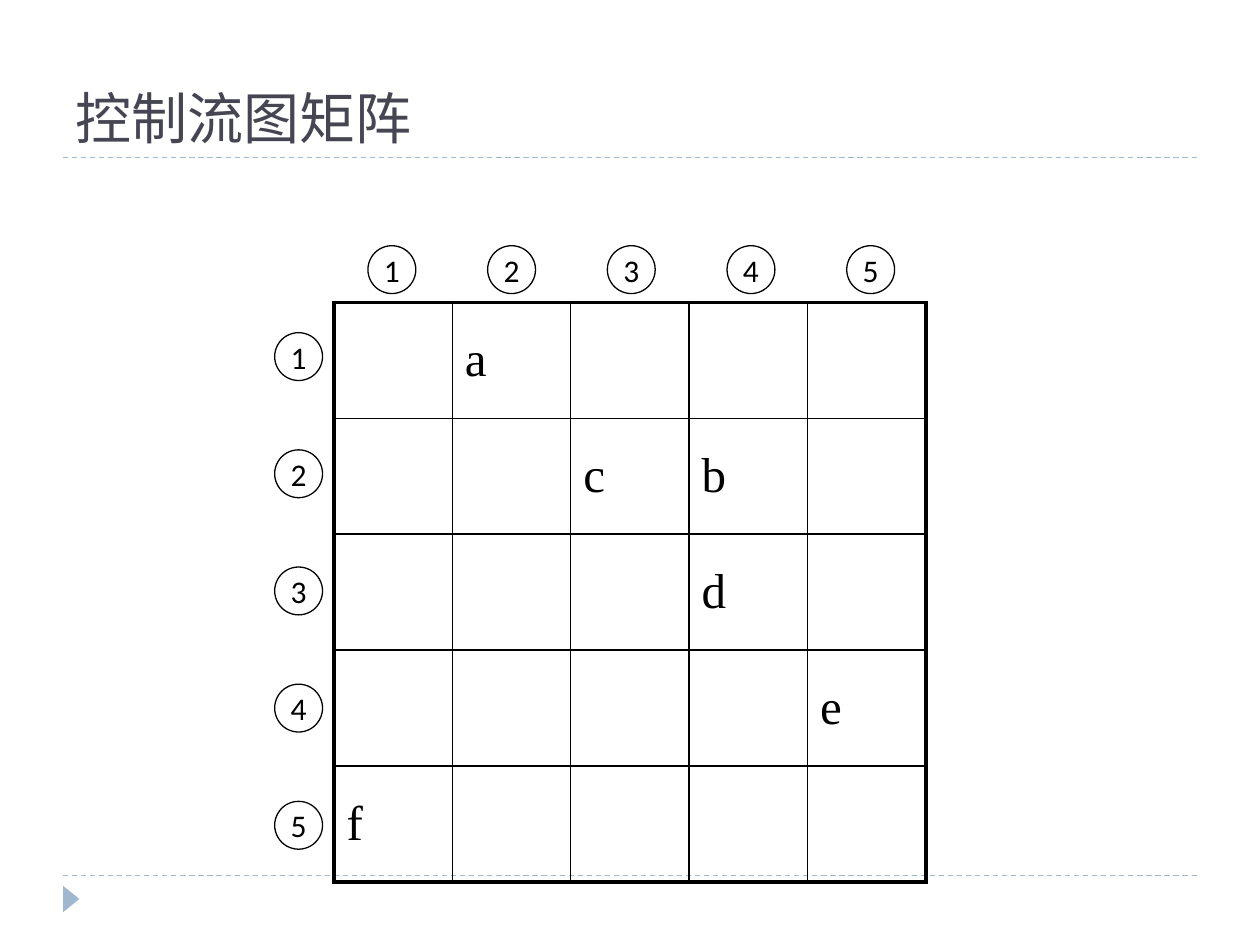
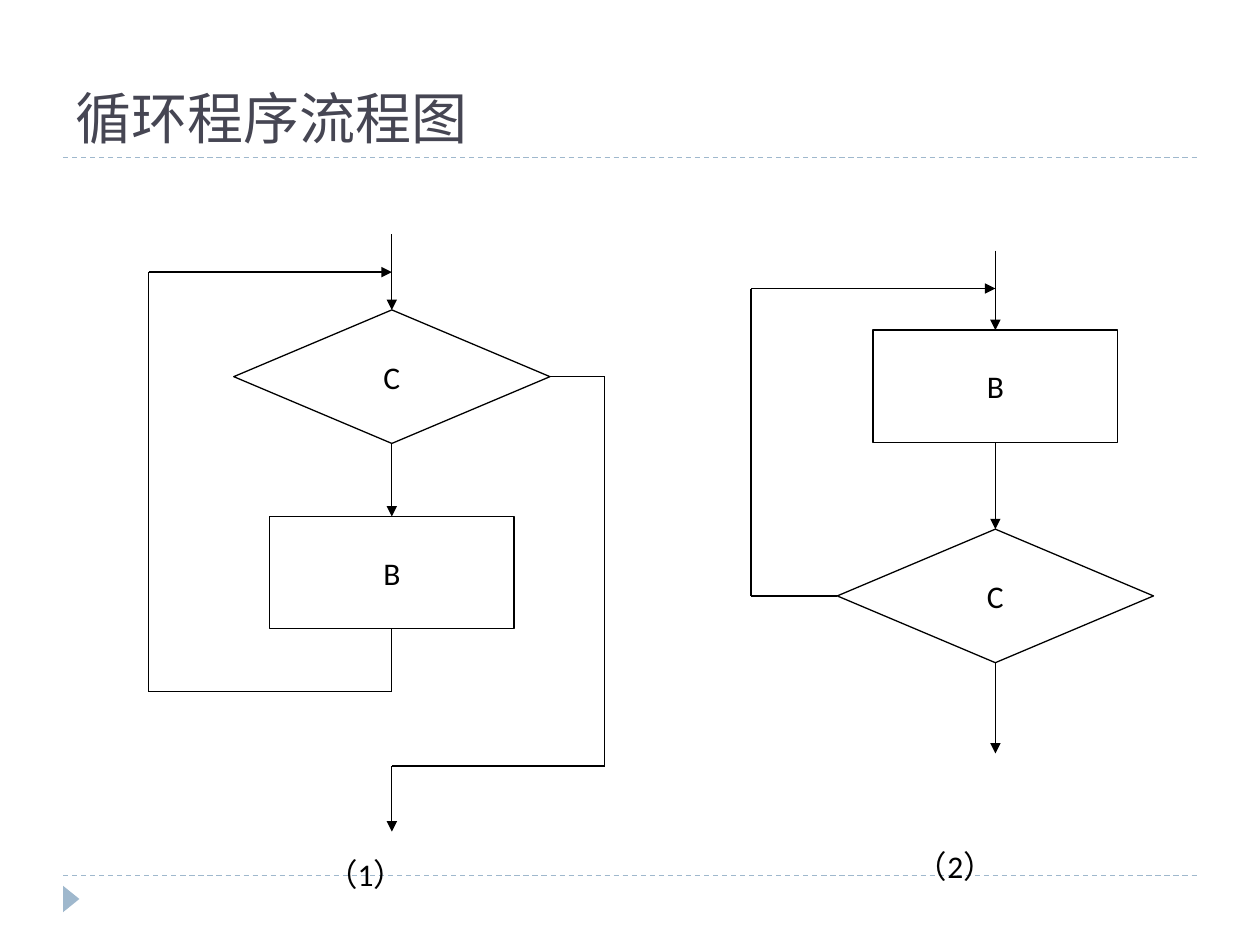
from dataclasses import dataclass
from typing import Any, Optional

from lxml import etree
from pptx import Presentation
from pptx.dml.color import RGBColor
from pptx.enum.dml import MSO_LINE
from pptx.enum.shapes import MSO_CONNECTOR, MSO_SHAPE
from pptx.enum.text import MSO_ANCHOR, MSO_AUTO_SIZE, PP_ALIGN
from pptx.oxml.ns import qn
from pptx.util import Inches, Pt

BLACK = RGBColor(0x00, 0x00, 0x00)
TITLE_INK = RGBColor(0x46, 0x46, 0x53)
ACCENT = RGBColor(0x9F, 0xB8, 0xCD)

STRAIGHT = MSO_CONNECTOR.STRAIGHT
DASH = MSO_LINE.DASH
TRIANGLE = MSO_SHAPE.ISOSCELES_TRIANGLE
ELLIPSE = MSO_SHAPE.OVAL
DIAMOND = MSO_SHAPE.DIAMOND
RECTANGLE = MSO_SHAPE.RECTANGLE
MIDDLE, BOTTOM = MSO_ANCHOR.MIDDLE, MSO_ANCHOR.BOTTOM
LEFT, CENTER, JUSTIFY = PP_ALIGN.LEFT, PP_ALIGN.CENTER, PP_ALIGN.JUSTIFY
NO_FIT, GROW = MSO_AUTO_SIZE.NONE, MSO_AUTO_SIZE.SHAPE_TO_FIT_TEXT
TOP_SIDE, LEFT_SIDE, BOTTOM_SIDE, RIGHT_SIDE = range(4)

CJK_FONT = "Noto Sans CJK SC"
LABEL_FONT = {"name": "Calibri", "size": Pt(18)}
ENTRY_FONT = {"name": "Times New Roman", "size": Pt(28)}
CENTERED_FRAME = {"word_wrap": False, "vertical_anchor": MIDDLE}

MATRIX_SIZE = 5
CELL_WIDTH, CELL_HEIGHT = 0.94, 0.92
MATRIX_ENTRIES = {(0, 1): "a", (1, 2): "c", (1, 3): "b", (2, 3): "d", (3, 4): "e", (4, 0): "f"}
NODE_SIZES = {DIAMOND: (2.51, 1.06), RECTANGLE: (1.94, 0.89)}


@dataclass(frozen=True)
class Node:
    label: str
    kind: Any
    top: float


@dataclass(frozen=True)
class Site:
    label: str
    side: int


@dataclass(frozen=True)
class Route:
    points: tuple[tuple[float, float], ...]
    begin: Optional[Site] = None
    end: Optional[Site] = None


@dataclass(frozen=True)
class Flowchart:
    axis: float
    nodes: tuple[Node, ...]
    routes: tuple[Route, ...]
    caption: str
    caption_left: float
    caption_top: float


FLOWCHARTS = (
    Flowchart(
        3.11,
        (Node("C", DIAMOND, 2.46), Node("B", RECTANGLE, 4.1)),
        (
            Route(((3.11, 1.86), (3.11, 2.46)), end=Site("C", TOP_SIDE)),
            Route(((3.11, 3.52), (3.11, 4.1)), Site("C", BOTTOM_SIDE), Site("B", TOP_SIDE)),
            Route(((3.11, 4.99), (3.11, 5.49), (1.18, 5.49), (1.18, 2.16), (3.11, 2.16)),
                  Site("B", BOTTOM_SIDE)),
            Route(((4.37, 2.99), (4.8, 2.99), (4.8, 6.08), (3.11, 6.08), (3.11, 6.6)),
                  Site("C", RIGHT_SIDE)),
        ),
        "（1）", 2.49, 6.74,
    ),
    Flowchart(
        7.9,
        (Node("B", RECTANGLE, 2.62), Node("C", DIAMOND, 4.2)),
        (
            Route(((7.9, 1.99), (7.9, 2.62)), end=Site("B", TOP_SIDE)),
            Route(((7.9, 3.51), (7.9, 4.2)), Site("B", BOTTOM_SIDE), Site("C", TOP_SIDE)),
            Route(((6.65, 4.73), (5.96, 4.73), (5.96, 2.29), (7.9, 2.29)),
                  Site("C", LEFT_SIDE)),
            Route(((7.9, 5.26), (7.9, 5.98)), Site("C", BOTTOM_SIDE)),
        ),
        "（2）", 7.17, 6.67,
    ),
)


def set_format(target: Any, values: dict[str, Any]) -> None:
    for name, value in values.items():
        setattr(target, name, value)


def write(frame: Any, text: str, font: dict[str, Any], paragraph: dict[str, Any],
          color: RGBColor = BLACK) -> None:
    para = frame.paragraphs[0]
    set_format(para, paragraph)
    span = para.add_run()
    span.text = text
    set_format(span.font, font)
    span.font.color.rgb = color
    east_asian = etree.SubElement(span.font._element, qn("a:ea"))
    east_asian.set("typeface", CJK_FONT)


def add_line(page: Any, start: tuple[float, float], finish: tuple[float, float],
             color: RGBColor = BLACK, arrow: bool = False) -> Any:
    line = page.shapes.add_connector(STRAIGHT, *map(Inches, start + finish))
    line.line.color.rgb = color
    line.line.width = Pt(0.75)
    if arrow:
        tail = etree.SubElement(line.line._get_or_add_ln(), qn("a:tailEnd"))
        tail.set("type", "triangle")
    etree.SubElement(line._element.spPr, qn("a:effectLst"))
    return line


def add_labelled_shape(page: Any, kind: Any, left: float, top: float,
                       width: float, height: float, label: str) -> Any:
    shape = page.shapes.add_shape(kind, *map(Inches, (left, top, width, height)))
    shape.shadow.inherit = False
    shape.fill.background()
    shape.line.color.rgb = BLACK
    shape.line.width = Pt(0.75)
    set_format(shape.text_frame, CENTERED_FRAME)
    write(shape.text_frame, label, LABEL_FONT, {"alignment": CENTER})
    return shape


def add_page(deck: Any, title: str, title_font: str) -> Any:
    page = deck.slides.add_slide(deck.slide_layouts[5])
    box = page.shapes.title
    set_format(box, {"left": Inches(0.5), "top": Inches(0.17),
                     "width": Inches(9), "height": Inches(1.08)})
    set_format(box.text_frame, {"vertical_anchor": BOTTOM, "auto_size": NO_FIT})
    write(box.text_frame, title, {"name": title_font, "size": Pt(32)},
          {"alignment": LEFT}, TITLE_INK)
    for height in (6.95, 1.25):
        rule = add_line(page, (0.5, height), (9.5, height), ACCENT)
        rule.line.dash_style = DASH
    marker = page.shapes.add_shape(TRIANGLE, *map(Inches, (0.46, 7.07, 0.21, 0.13)))
    marker.rotation = 90
    marker.shadow.inherit = False
    marker.fill.solid()
    marker.fill.fore_color.rgb = ACCENT
    marker.line.fill.background()
    return page


def set_borders(cell: Any, widths: dict[str, float]) -> None:
    properties = cell._tc.get_or_add_tcPr()
    for position, (side, width) in enumerate(widths.items()):
        border = etree.Element(qn(f"a:{side}"), w=str(Pt(width)))
        fill = etree.SubElement(border, qn("a:solidFill"))
        etree.SubElement(fill, qn("a:srgbClr")).set("val", str(BLACK))
        properties.insert(position, border)


def add_matrix(page: Any) -> None:
    size = MATRIX_SIZE
    bounds = (2.65, 2.4, size * CELL_WIDTH, size * CELL_HEIGHT)
    table = page.shapes.add_table(size, size, *map(Inches, bounds)).table
    set_format(table, {"first_row": False, "horz_banding": False})
    last = size - 1
    for row in range(size):
        for column in range(size):
            cell = table.cell(row, column)
            cell.fill.background()
            cell.vertical_anchor = MIDDLE
            outer = {"lnL": column == 0, "lnR": column == last,
                     "lnT": row == 0, "lnB": row == last}
            set_borders(cell, {side: 2.25 if edge else 1 for side, edge in outer.items()})
            if (row, column) in MATRIX_ENTRIES:
                write(cell.text_frame, MATRIX_ENTRIES[row, column], ENTRY_FONT,
                      {"space_before": Pt(5.6)})


def add_matrix_labels(page: Any) -> None:
    for index in range(MATRIX_SIZE):
        places = ((2.92 + 0.95 * index, 1.95), (2.18, 2.64 + 0.93 * index))
        for left, top in places:
            add_labelled_shape(page, ELLIPSE, left, top, 0.38, 0.38, str(index + 1))


def add_route(page: Any, route: Route, shapes: dict[str, Any]) -> None:
    last = len(route.points) - 2
    for index, (start, finish) in enumerate(zip(route.points, route.points[1:])):
        line = add_line(page, start, finish, arrow=index == last)
        if index == 0 and route.begin:
            line.begin_connect(shapes[route.begin.label], route.begin.side)
        if index == last and route.end:
            line.end_connect(shapes[route.end.label], route.end.side)


def add_flowchart(page: Any, chart: Flowchart) -> None:
    shapes = {}
    for node in chart.nodes:
        width, height = NODE_SIZES[node.kind]
        shapes[node.label] = add_labelled_shape(
            page, node.kind, chart.axis - width / 2, node.top, width, height, node.label)
    for route in chart.routes:
        add_route(page, route, shapes)
    bounds = (chart.caption_left, chart.caption_top, 1.17, 0.5)
    box = page.shapes.add_textbox(*map(Inches, bounds))
    set_format(box.text_frame, {"word_wrap": True, "auto_size": GROW})
    write(box.text_frame, chart.caption, LABEL_FONT,
          {"alignment": JUSTIFY, "space_before": Pt(9)})


def main() -> None:
    deck = Presentation()
    set_format(deck, {"slide_width": Inches(10), "slide_height": Inches(7.5)})

    matrix_page = add_page(deck, "控制流图矩阵", CJK_FONT)
    add_matrix(matrix_page)
    add_matrix_labels(matrix_page)

    loop_page = add_page(deck, "循环程序流程图", "TeX Gyre Bonum")
    for chart in FLOWCHARTS:
        add_flowchart(loop_page, chart)

    deck.save("out.pptx")


if __name__ == "__main__":
    main()
